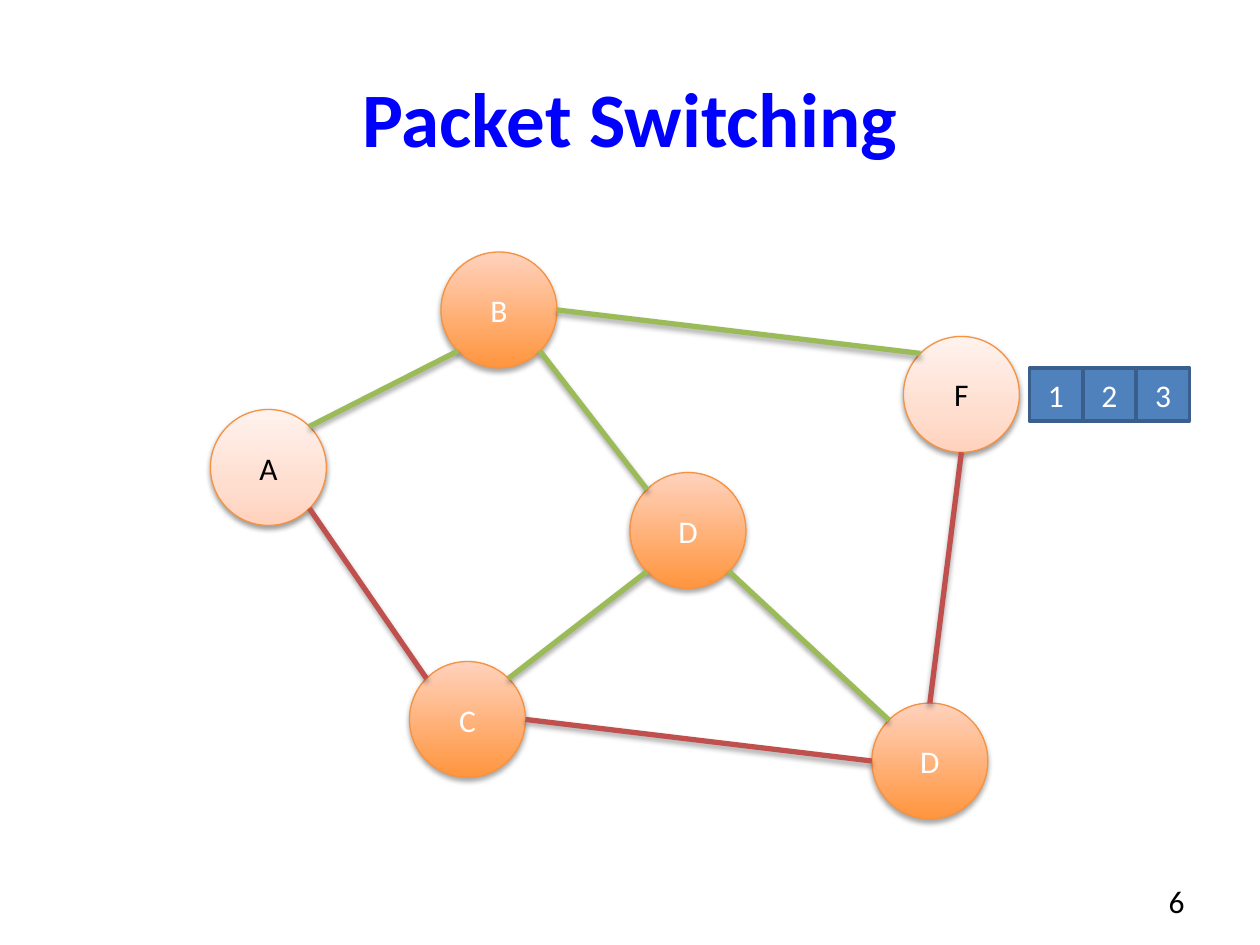
import math

import lxml.etree
import pptx
import pptx.dml.color
import pptx.enum.shapes
import pptx.enum.text
import pptx.oxml
import pptx.oxml.ns
import pptx.util

Inches = pptx.util.Inches
Pt = pptx.util.Pt
SHAPES = pptx.enum.shapes.MSO_SHAPE
ALIGN = pptx.enum.text.PP_ALIGN
MIDDLE = pptx.enum.text.MSO_ANCHOR.MIDDLE

COLORS = {
    "title": "0000FF", "black": "000000", "white": "FFFFFF",
    "node_line": "F69240", "packet": "4F81BD", "packet_line": "3A5F8C",
    "green": "9BBB59", "red": "C0504D",
}
# Per node style: gradient stops, text colour, shadow opacity and distance
STYLES = {
    "host": ([(0, "FFD2BD"), (35, "FFDED0"), (100, "FFF2ED")], "black", 38, 1.6),
    "router": ([(0, "FF953E"), (100, "FFD2BD")], "white", 35, 1.8),
}
NODE_SIZE = 0.92
PACKET_SIZE = 0.42
# Key: label, left, top, style
NODES = {
    "A": ("A", 1.67, 3.25, "host"),
    "C": ("C", 3.25, 5.25, "router"),
    "B": ("B", 3.5, 2, "router"),
    "D middle": ("D", 5, 3.75, "router"),
    "F": ("F", 7.17, 2.67, "host"),
    "D right": ("D", 6.92, 5.58, "router"),
}
# Start node and angle, end node and angle, colour; degrees clockwise from the right
LINKS = [
    ("A", 315, "B", 135, "green"),
    ("A", 45, "C", 225, "red"),
    ("D middle", 135, "C", 315, "green"),
    ("D middle", 225, "B", 45, "green"),
    ("F", 225, "B", 0, "green"),
    ("D right", 225, "D middle", 45, "green"),
    ("D right", 180, "C", 0, "red"),
    ("F", 90, "D right", 270, "red"),
]


def rgb(name):
    return pptx.dml.color.RGBColor.from_string(COLORS[name])


def write(text_frame, text, color, size=18, bold=False, align=ALIGN.CENTER):
    text_frame.vertical_anchor = MIDDLE
    paragraph = text_frame.paragraphs[0]
    paragraph.alignment = align
    run = paragraph.add_run()
    run.text = text
    run.font.name = "Calibri"
    run.font.size = Pt(size)
    run.font.bold = bold
    run.font.color.rgb = rgb(color)


def set_gradient(shape, stops):
    """Fill the shape with a gradient that runs from bottom to top."""
    stop_xml = "".join(
        f'<a:gs pos="{position * 1000}"><a:srgbClr val="{color}"/></a:gs>'
        for position, color in stops)
    gradient = pptx.oxml.parse_xml(
        f'<a:gradFill {pptx.oxml.ns.nsdecls("a")} rotWithShape="1">'
        f'<a:gsLst>{stop_xml}</a:gsLst><a:lin ang="16200000" scaled="0"/></a:gradFill>')
    shape.fill.solid()
    properties = shape.element.spPr
    properties.replace(properties.find(pptx.oxml.ns.qn("a:solidFill")), gradient)


def add_shadow(shape, opacity, distance):
    properties = shape.element.spPr
    effects = lxml.etree.SubElement(properties, pptx.oxml.ns.qn("a:effectLst"))
    effects.append(pptx.oxml.parse_xml(
        f'<a:outerShdw {pptx.oxml.ns.nsdecls("a")} blurRad="{Pt(3.1)}" '
        f'dist="{Pt(distance)}" dir="5400000" rotWithShape="0">'
        f'<a:srgbClr val="{COLORS["black"]}"><a:alpha val="{opacity * 1000}"/></a:srgbClr>'
        '</a:outerShdw>'))


def add_node(slide, label, left, top, style):
    stops, text_color, opacity, distance = STYLES[style]
    shape = slide.shapes.add_shape(
        SHAPES.OVAL, Inches(left), Inches(top), Inches(NODE_SIZE), Inches(NODE_SIZE))
    set_gradient(shape, stops)
    shape.line.color.rgb = rgb("node_line")
    shape.line.width = Pt(0.75)
    add_shadow(shape, opacity, distance)
    write(shape.text_frame, label, text_color)


def add_packet(slide, number):
    left = 8.17 + (number - 1) * 0.425
    shape = slide.shapes.add_shape(
        SHAPES.RECTANGLE, Inches(left), Inches(2.92),
        Inches(PACKET_SIZE), Inches(PACKET_SIZE))
    shape.shadow.inherit = False
    shape.fill.solid()
    shape.fill.fore_color.rgb = rgb("packet")
    shape.line.color.rgb = rgb("packet_line")
    shape.line.width = Pt(2)
    write(shape.text_frame, str(number), "white")


def rim_point(node, angle):
    _, left, top, _ = NODES[node]
    radius = NODE_SIZE / 2
    x = left + radius * (1 + math.cos(math.radians(angle)))
    y = top + radius * (1 + math.sin(math.radians(angle)))
    return Inches(x), Inches(y)


def add_link(slide, start, start_angle, end, end_angle, color):
    connector = slide.shapes.add_connector(
        pptx.enum.shapes.MSO_CONNECTOR.STRAIGHT,
        *rim_point(start, start_angle), *rim_point(end, end_angle))
    connector.line.color.rgb = rgb(color)
    connector.line.width = Pt(3)
    add_shadow(connector, 35, 1.8)


def add_title(slide, text):
    title = slide.shapes.title
    title.left, title.top = Inches(0.5), Inches(0.3)
    title.width, title.height = Inches(9), Inches(1.25)
    write(title.text_frame, text, "title", size=44, bold=True)


def add_page_number(slide, text):
    box = slide.shapes.add_textbox(Inches(7.17), Inches(6.95), Inches(2.33), Inches(0.4))
    box.text_frame.word_wrap = True
    write(box.text_frame, text, "black", align=ALIGN.RIGHT)


def main():
    presentation = pptx.Presentation()
    presentation.slide_width = Inches(10)
    presentation.slide_height = Inches(7.5)
    slide = presentation.slides.add_slide(presentation.slide_layouts[5])
    add_title(slide, "Packet Switching")
    for node in NODES.values():
        add_node(slide, *node)
    for number in (3, 2, 1):
        add_packet(slide, number)
    for link in LINKS:
        add_link(slide, *link)
    add_page_number(slide, "6")
    presentation.save("out.pptx")


if __name__ == "__main__":
    main()
